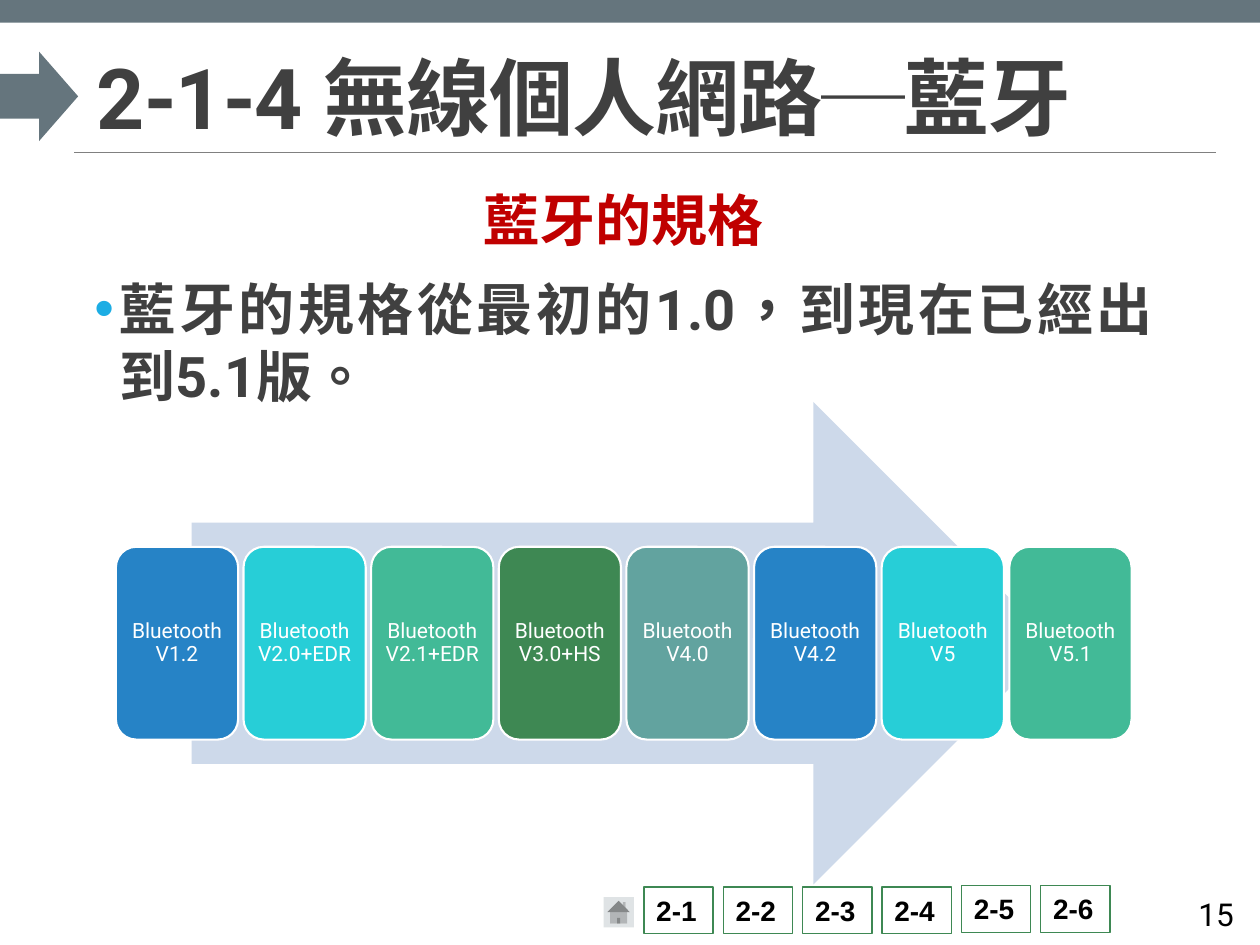
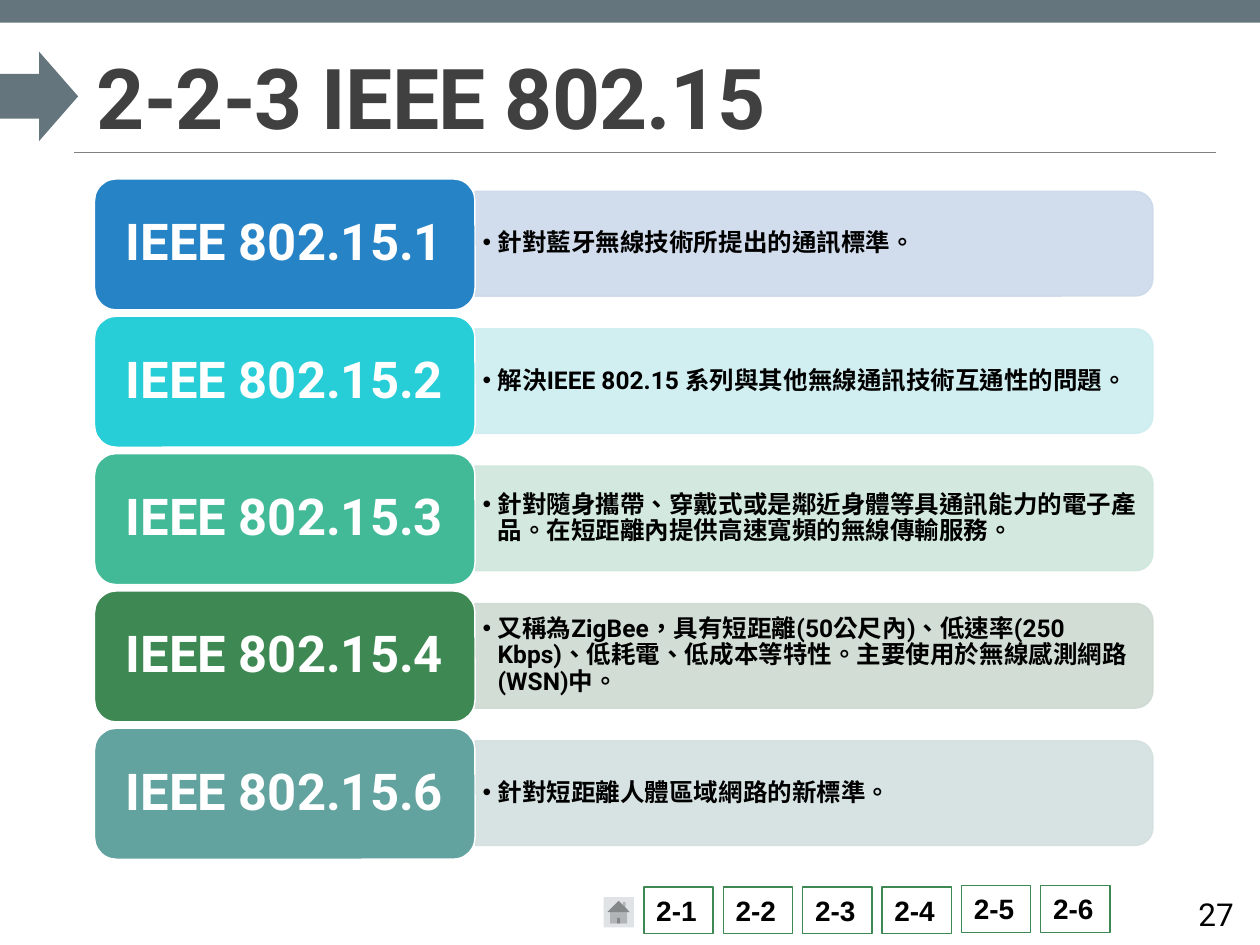
from dataclasses import dataclass

from lxml import etree
from pptx import Presentation
from pptx.dml.color import RGBColor
from pptx.enum.shapes import MSO_CONNECTOR, MSO_SHAPE
from pptx.enum.text import MSO_ANCHOR, PP_ALIGN
from pptx.oxml.ns import qn
from pptx.util import Inches, Pt

STRAIGHT = MSO_CONNECTOR.STRAIGHT
RECT, ROUND_RECT = MSO_SHAPE.RECTANGLE, MSO_SHAPE.ROUNDED_RECTANGLE
ROUND_TOP, ARROW = MSO_SHAPE.ROUND_2_SAME_RECTANGLE, MSO_SHAPE.RIGHT_ARROW
HOME = MSO_SHAPE.ACTION_BUTTON_HOME
TOP, MIDDLE, BOTTOM = MSO_ANCHOR.TOP, MSO_ANCHOR.MIDDLE, MSO_ANCHOR.BOTTOM
LEFT, CENTER, RIGHT = PP_ALIGN.LEFT, PP_ALIGN.CENTER, PP_ALIGN.RIGHT
JUSTIFY = PP_ALIGN.JUSTIFY

COLUMNS, ROWS = 100, 75


@dataclass(frozen=True)
class TextStyle:
    size: float
    color: str
    bold: bool = True
    align: PP_ALIGN = LEFT
    font: str = "Roboto"
    line_spacing: float = 1.0
    tracking: int = 0
    indent: float = 0
    bullet_color: str = ""


class Theme:
    white, black = "FFFFFF", "000000"
    band, rule, home = "65757D", "808080", "DFE3E5"
    green = "3E8853"
    arrow = "CDD9EA"
    accents = ["2683C6", "27CED7", "42BA97", green, "62A39F"]
    tints = ["CDD9EA", "CDEDF0", "CFE7DD", "CEDAD1", "D3E0DF"]

    title = TextStyle(48, "404040", line_spacing=0.85, tracking=-50)
    heading = TextStyle(32, "C00000", align=CENTER)
    body = TextStyle(32, "404040", align=JUSTIFY, indent=2, bullet_color="1CADE4")
    nav = TextStyle(16, black, font="Arial")
    number = TextStyle(18, black, bold=False, align=RIGHT)
    version = TextStyle(12, white, bold=False, align=CENTER, line_spacing=0.9)
    standard = TextStyle(29, white, align=CENTER, line_spacing=0.9)
    detail = TextStyle(14, black, line_spacing=0.9, indent=1.2, bullet_color=black)


class Deck:
    """Draws on the current slide; boxes are (column, row, columns, rows)."""

    def __init__(self, theme):
        self.theme = theme
        self.prs = Presentation()
        self.prs.slide_width, self.prs.slide_height = Inches(10), Inches(7.5)
        self.slide = None

    def x(self, columns):
        return int(self.prs.slide_width * columns / COLUMNS)

    def y(self, rows):
        return int(self.prs.slide_height * rows / ROWS)

    def place(self, box):
        left, top, width, height = box
        return self.x(left), self.y(top), self.x(width), self.y(height)

    def shape(self, kind, box, fill, line=None, line_width=0.85, alpha=None):
        sp = self.slide.shapes.add_shape(kind, *self.place(box))
        sp.shadow.inherit = False
        sp.fill.solid()
        sp.fill.fore_color.rgb = RGBColor.from_string(fill)
        if line:
            sp.line.color.rgb = RGBColor.from_string(line)
            sp.line.width = Pt(line_width)
        else:
            sp.line.fill.background()
        if alpha:
            for color in sp._element.spPr.iter(qn("a:srgbClr")):
                etree.SubElement(color, qn("a:alpha"), val=str(alpha * 1000))
        return sp

    def side_panel(self, box, color):
        """A panel with its right corners rounded: a round-topped shape on its side."""
        left, top, width, height = box
        shift = (width - height) / 2
        upright = (left + shift, top - shift, height, width)
        self.shape(ROUND_TOP, upright, color, color, alpha=90).rotation = 90

    def rule(self, left, right, row):
        line = self.slide.shapes.add_connector(
            STRAIGHT, self.x(left), self.y(row), self.x(right), self.y(row))
        line.line.color.rgb = RGBColor.from_string(self.theme.rule)
        line.line.width = Pt(0.5)
        etree.SubElement(line._element.spPr, qn("a:effectLst"))

    def text(self, box, *paragraphs, **frame):
        sp = self.slide.shapes.add_textbox(*self.place(box))
        self.set_text(sp, *paragraphs, **frame)

    def set_text(self, sp, *paragraphs, anchor=TOP, margins=(1, 0.5)):
        """Fill a shape with (text, style) pairs; margins are (sides, top and bottom)."""
        tf = sp.text_frame
        tf.word_wrap = True
        tf.vertical_anchor = anchor
        tf.margin_left = tf.margin_right = self.x(margins[0])
        tf.margin_top = tf.margin_bottom = self.y(margins[1])
        for i, (text, style) in enumerate(paragraphs):
            p = tf.add_paragraph() if i else tf.paragraphs[0]
            p.text = text
            p.alignment = style.align
            p.line_spacing = style.line_spacing
            if i:
                p.space_before = Pt(12)
            if len(paragraphs) > 1:
                p.space_after = Pt(0.6)
            if style.indent:
                self.bullet(p, style)
            for r in p.runs:
                self.style_run(r, style)

    def bullet(self, p, style):
        pPr = p._p.get_or_add_pPr()
        pPr.set("marL", str(self.x(style.indent)))
        pPr.set("indent", str(-self.x(style.indent)))
        color = etree.SubElement(pPr, qn("a:buClr"))
        etree.SubElement(color, qn("a:srgbClr"), val=style.bullet_color)
        etree.SubElement(pPr, qn("a:buFont"), typeface="Arial")
        etree.SubElement(pPr, qn("a:buChar"), char="•")

    def style_run(self, r, style):
        r.font.name = style.font
        r.font.size = Pt(style.size)
        r.font.bold = style.bold
        r.font.color.rgb = RGBColor.from_string(style.color)
        rPr = r._r.get_or_add_rPr()
        rPr.set("lang", "zh-TW")
        if style.tracking:
            rPr.set("spc", str(style.tracking))

    def new_slide(self, title, number):
        t = self.theme
        self.slide = self.prs.slides.add_slide(self.prs.slide_layouts[6])
        self.rule(5.9, 96.5, 12.1)
        self.shape(RECT, (0, 0, COLUMNS, 1.8), t.band)
        self.shape(ARROW, (0, 4.1, 6.2, 7.1), t.band)
        self.shape(HOME, (47.9, 71.2, 2.4, 2.4), t.home)
        for i in range(6):
            row = 70.4 if i < 4 else 70.3
            sp = self.shape(RECT, (51.1 + 6.3 * i, row, 5.5, 3.7), t.white, t.green)
            self.set_text(sp, (f"2-{i + 1}", t.nav))
        self.text((6.7, 3.1, 89.8, 9), (title, t.title), anchor=BOTTOM)
        self.text((88.1, 70.5, 10.8, 4), (str(number), t.number), anchor=MIDDLE)


def bluetooth_slide(deck):
    t = deck.theme
    deck.new_slide("2-1-4 無線個人網路─藍牙", 15)
    deck.text((7.5, 14.2, 84, 54.1),
              ("藍牙的規格", t.heading),
              ("藍牙的規格從最初的1.0，到現在已經出到5.1版。", t.body),
              margins=(0, 0.5))
    deck.shape(ARROW, (15.2, 31.9, 68.5, 38.3), t.arrow)
    versions = ["V1.2", "V2.0+EDR", "V2.1+EDR", "V3.0+HS", "V4.0", "V4.2", "V5", "V5.1"]
    for i, version in enumerate(versions):
        sp = deck.shape(ROUND_RECT, (9.2 + 10.13 * i, 43.4, 9.7, 15.3),
                        t.accents[i % len(t.accents)], t.white, 1.2)
        deck.set_text(sp, (f"Bluetooth {version}", t.version),
                      anchor=MIDDLE, margins=(0.5, 0.5))


def standards_slide(deck):
    t = deck.theme
    deck.new_slide("2-2-3 IEEE 802.15", 27)
    standards = [
        ("IEEE 802.15.1", "針對藍牙無線技術所提出的通訊標準。"),
        ("IEEE 802.15.2", "解決IEEE 802.15 系列與其他無線通訊技術互通性的問題。"),
        ("IEEE 802.15.3", "針對隨身攜帶、穿戴式或是鄰近身體等具通訊能力的電子產品。"
                          "在短距離內提供高速寬頻的無線傳輸服務。"),
        ("IEEE 802.15.4", "又稱為ZigBee，具有短距離(50公尺內)、低速率(250 Kbps)、"
                          "低耗電、低成本等特性。主要使用於無線感測網路(WSN)中。"),
        ("IEEE 802.15.6", "針對短距離人體區域網路的新標準。"),
    ]
    for i, (name, detail) in enumerate(standards):
        row = 14.2 + 10.9 * i
        deck.side_panel((37.7, row + 1, 53.8, 8.3), t.tints[i])
        deck.text((37.7, row + 1.4, 53.4, 7.5), (detail, t.detail),
                  anchor=MIDDLE, margins=(0.6, 0.3))
        sp = deck.shape(ROUND_RECT, (7.5, row, 30.2, 10.4), t.accents[i], t.white)
        deck.set_text(sp, (name, t.standard), anchor=MIDDLE, margins=(1.2, 0.6))


def main():
    deck = Deck(Theme())
    bluetooth_slide(deck)
    standards_slide(deck)
    deck.prs.save("out.pptx")


if __name__ == "__main__":
    main()
